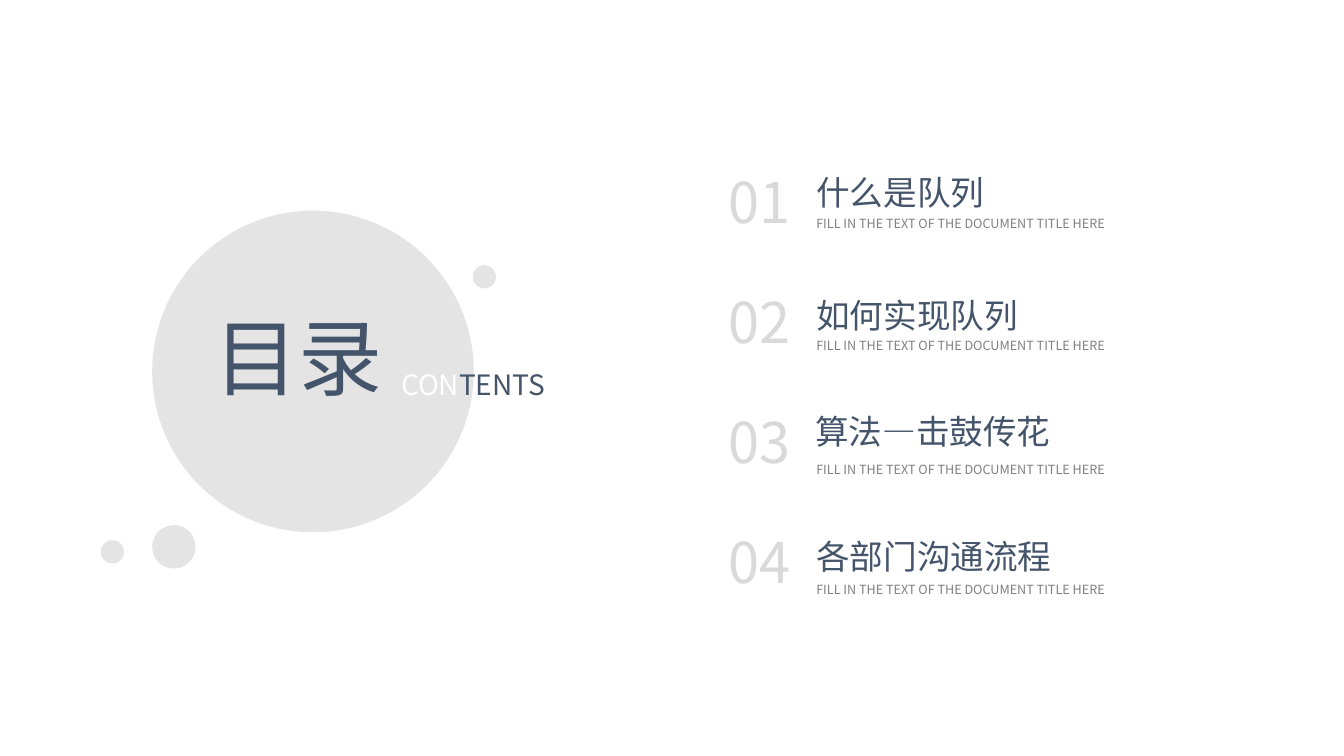
"""Builds a contents slide with circles and four numbered chapters."""
import pptx
import pptx.dml.color
import pptx.enum.shapes
import pptx.enum.text
import pptx.oxml
import pptx.oxml.ns
import pptx.util

Pt = pptx.util.Pt
FONT = "Noto Sans CJK SC"
NAVY = pptx.dml.color.RGBColor(0x44, 0x54, 0x6A)
SILVER = pptx.dml.color.RGBColor(0xD9, 0xD9, 0xD9)
GRAY = pptx.dml.color.RGBColor(0x80, 0x80, 0x80)
WHITE = pptx.dml.color.RGBColor(0xFF, 0xFF, 0xFF)

CIRCLES = [(108.7, 150.5, 229.7), (108.7, 375.1, 31), (72, 385.9, 16.6), (337.7, 189.4, 16.6)]
CAPTION = "FILL IN THE TEXT OF THE DOCUMENT TITLE HERE"
CHAPTERS = [
    ("什么是队列", 576, 119.5, 135.4, 150.5),
    ("如何实现队列", 576, 207.4, 161.3, 237.6),
    ("算法—击鼓传花", 575.3, 290.2, 185.8, 326.2),
    ("各部门沟通流程", 576, 379.4, 184.3, 411.8),
]
NUMBER_TOP, NUMBER_PITCH = 115.9, 85.7


def add_circle(slide, left, top, diameter):
    circle = slide.shapes.add_shape(
        pptx.enum.shapes.MSO_SHAPE.FLOWCHART_CONNECTOR,
        Pt(left), Pt(top), Pt(diameter), Pt(diameter))
    circle.shadow.inherit = False
    circle.line.fill.background()
    circle.fill.solid()
    circle.fill.fore_color.rgb = SILVER
    color = circle.fill._xPr.find(".//" + pptx.oxml.ns.qn("a:srgbClr"))
    alpha = pptx.oxml.parse_xml(f'<a:alpha {pptx.oxml.ns.nsdecls("a")} val="70000"/>')
    color.append(alpha)


def format_run(run, size, color):
    run.font.size = Pt(size)
    run.font.color.rgb = color
    run.font.name = FONT
    east_asian = pptx.oxml.parse_xml(
        f'<a:ea {pptx.oxml.ns.nsdecls("a")} typeface="{FONT}"/>')
    run.font._element.find(pptx.oxml.ns.qn("a:latin")).addnext(east_asian)


def format_frame(frame, wrap, alignment):
    frame.word_wrap = wrap
    frame.auto_size = pptx.enum.text.MSO_AUTO_SIZE.SHAPE_TO_FIT_TEXT
    frame.vertical_anchor = pptx.enum.text.MSO_ANCHOR.TOP
    frame.paragraphs[0].alignment = alignment


def add_label(slide, text, box, size, color):
    label = slide.shapes.add_textbox(*map(Pt, box))
    label.text_frame.text = text
    format_frame(label.text_frame, False, pptx.enum.text.PP_ALIGN.LEFT)
    format_run(label.text_frame.paragraphs[0].runs[0], size, color)


def place_title(slide):
    title = slide.shapes.title
    title.left, title.top, title.width, title.height = map(Pt, (146.2, 214.6, 141.8, 79.9))
    title.text_frame.text = "目录"
    format_frame(title.text_frame, True, pptx.enum.text.PP_ALIGN.JUSTIFY)
    format_run(title.text_frame.paragraphs[0].runs[0], 60, NAVY)
    title._element.getparent().append(title._element)


def add_subtitle(slide):
    subtitle = slide.shapes.add_textbox(Pt(279.4), Pt(259.2), Pt(141.8), Pt(31.7))
    format_frame(subtitle.text_frame, True, pptx.enum.text.PP_ALIGN.JUSTIFY)
    for text, color in (("CON", WHITE), ("TENTS", NAVY)):
        run = subtitle.text_frame.paragraphs[0].add_run()
        run.text = text
        format_run(run, 20, color)


def add_chapter(slide, index, name, left, name_top, name_width, caption_top):
    number_top = NUMBER_TOP + index * NUMBER_PITCH
    add_label(slide, f"{index + 1:02}", (513.4, number_top, 61.9, 55.4), 40, SILVER)
    add_label(slide, name, (left, name_top, name_width, 36), 24, NAVY)
    add_label(slide, CAPTION, (576, caption_top, 230.4, 18), 9, GRAY)


def main():
    deck = pptx.Presentation()
    deck.slide_width, deck.slide_height = Pt(960), Pt(540)
    slide = deck.slides.add_slide(deck.slide_layouts.get_by_name("Title Only"))
    for circle in CIRCLES:
        add_circle(slide, *circle)
    place_title(slide)
    add_subtitle(slide)
    for index, chapter in enumerate(CHAPTERS):
        add_chapter(slide, index, *chapter)
    deck.save("out.pptx")


if __name__ == "__main__":
    main()
